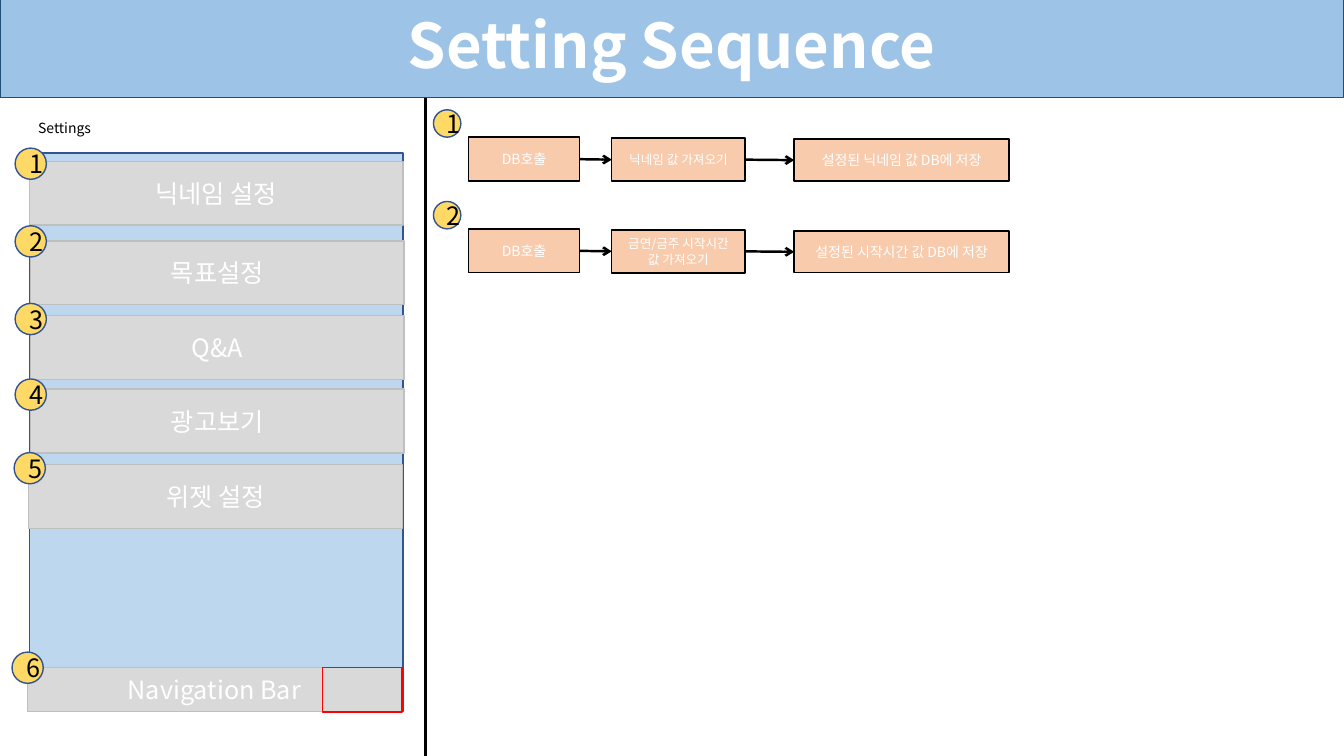
from dataclasses import dataclass

from lxml import etree
from pptx import Presentation
from pptx.dml.color import RGBColor
from pptx.enum.shapes import MSO_CONNECTOR, MSO_SHAPE
from pptx.enum.text import MSO_ANCHOR, MSO_AUTO_SIZE, PP_ALIGN
from pptx.oxml.ns import qn
from pptx.util import Pt

RECT, OVAL = MSO_SHAPE.RECTANGLE, MSO_SHAPE.OVAL
LINE = MSO_CONNECTOR.STRAIGHT
LEFT, MID = PP_ALIGN.LEFT, PP_ALIGN.CENTER
CENTER, GROW = MSO_ANCHOR.MIDDLE, MSO_AUTO_SIZE.SHAPE_TO_FIT_TEXT


@dataclass(frozen=True)
class Theme:
    font: str = "Noto Sans CJK KR"
    white: str = "FFFFFF"
    black: str = "000000"
    red: str = "FF0000"
    band: str = "9DC3E6"
    edge: str = "1F4E79"
    panel: str = "BDD7EE"
    blue: str = "325491"
    gray: str = "D9D9D9"
    rim: str = "BFBFBF"
    gold: str = "FFD966"
    peach: str = "F8CBAD"
    title: int = 44
    big: int = 18
    small: int = 10
    tiny: int = 9


T = Theme()


def write(frame, text, size=T.big, color=T.white, bold=False, align=MID, space=None):
    frame.word_wrap = True
    par = frame.paragraphs[0]
    par.alignment = align
    if space:
        par.line_spacing = space
    run = par.add_run()
    run.text = text
    font = run.font
    font.size, font.bold, font.name = Pt(size), bold, T.font
    font.color.rgb = RGBColor.from_string(color)
    etree.SubElement(font._element, qn("a:ea"), typeface=T.font)


def draw(slide, kind, box, fill, line, text="", width=1, **style):
    shape = slide.shapes.add_shape(kind, *map(Pt, box))
    shape.shadow.inherit = False
    if fill:
        shape.fill.solid()
        shape.fill.fore_color.rgb = RGBColor.from_string(fill)
    else:
        shape.fill.background()
    shape.line.color.rgb = RGBColor.from_string(line)
    shape.line.width = Pt(width)
    if text:
        shape.text_frame.vertical_anchor = CENTER
        write(shape.text_frame, text, **style)
    return shape


def rule(slide, start, end, width):
    line = slide.shapes.add_connector(LINE, *map(Pt, start + end))
    line.line.color.rgb = RGBColor.from_string(T.black)
    line.line.width = Pt(width)
    etree.SubElement(line._element.spPr, qn("a:effectLst"))
    return line


def join(slide, first, second):
    line = rule(slide, (0, 0), (0, 0), 1.75)
    line.begin_connect(first, 3)
    line.end_connect(second, 1)
    etree.SubElement(line.line._get_or_add_ln(), qn("a:tailEnd"), type="arrow")


def badge(slide, left, top, size, num):
    draw(slide, OVAL, (left, top, size, size), T.gold, T.blue, str(num), color=T.black)


def header(slide, box):
    draw(slide, RECT, box, T.band, T.edge, "Setting Sequence", 0.75,
         size=T.title, bold=True, space=0.9)


def menu(slide, box):
    left, top, wide, high = box
    # Caption and screen
    note = slide.shapes.add_textbox(Pt(left - 0.7), Pt(top - 27.4), Pt(62.6), Pt(19.4))
    write(note.text_frame, "Settings", size=T.small, color=T.black, align=LEFT)
    note.text_frame.auto_size = GROW
    draw(slide, RECT, box, T.panel, T.blue)

    # Buttons: label, shift, top, height, badge shift, badge top
    items = [
        ("닉네임 설정", 0, 5.8, 45.6, -10.1, -3.6),
        ("목표설정", 0.7, 62.6, 45.6, -10.1, 51.9),
        ("Q&A", 0.7, 116, 45.6, -10.1, 107.3),
        ("광고보기", 0.7, 168.5, 45.6, -10.1, 161.3),
        ("위젯 설정", -0.7, 222.5, 45.6, -10.8, 213.9),
        ("Navigation Bar", -1.4, 367.4, 31.5, -12.3, 356.4),
    ]
    for num, (name, dx, dy, tall, bx, by) in enumerate(items, 1):
        draw(slide, RECT, (left + dx, top + dy, wide, tall), T.gray, T.rim, name)
        badge(slide, left + bx, top + by, 22.3, num)

    # Marked corner
    draw(slide, RECT, (left + wide - 57.6, top + high - 31.3, 56.9, 31.7), None, T.red)


def flow(slide, box, num, steps):
    left, top, wide, high = box
    badge(slide, left, top, 19.6, num)
    # Steps: shift, drop, width, type size
    cells = [(25.2, 19.6, 79.2, T.small), (127.4, 20.3, 95.2, T.tiny),
             (wide - 153.4, 21, 153.4, T.small)]
    last = None
    for text, (dx, dy, span, size) in zip(steps, cells):
        step = draw(slide, RECT, (left + dx, top + dy, span, high - dy),
                    T.peach, T.black, text, size=size)
        if last:
            join(slide, last, step)
        last = step


def main():
    deck = Presentation()
    deck.slide_width, deck.slide_height = Pt(960), Pt(540)
    slide = deck.slides.add_slide(deck.slide_layouts[6])

    header(slide, (0, 0, 960, 69.8))
    rule(slide, (304, 540), (304, 69.8), 2.25)
    menu(slide, (20.9, 109.4, 267.1, 398.9))

    flows = [
        ("DB호출", "닉네임 값 가져오기", "설정된 닉네임 값 DB에 저장"),
        ("DB호출", "금연/금주 시작시간 값 가져오기", "설정된 시작시간 값 DB에 저장"),
    ]
    for row, steps in enumerate(flows):
        flow(slide, (309.6, 78.4 + row * 65.5, 411.1, 51), row + 1, steps)

    deck.save("out.pptx")


if __name__ == "__main__":
    main()
